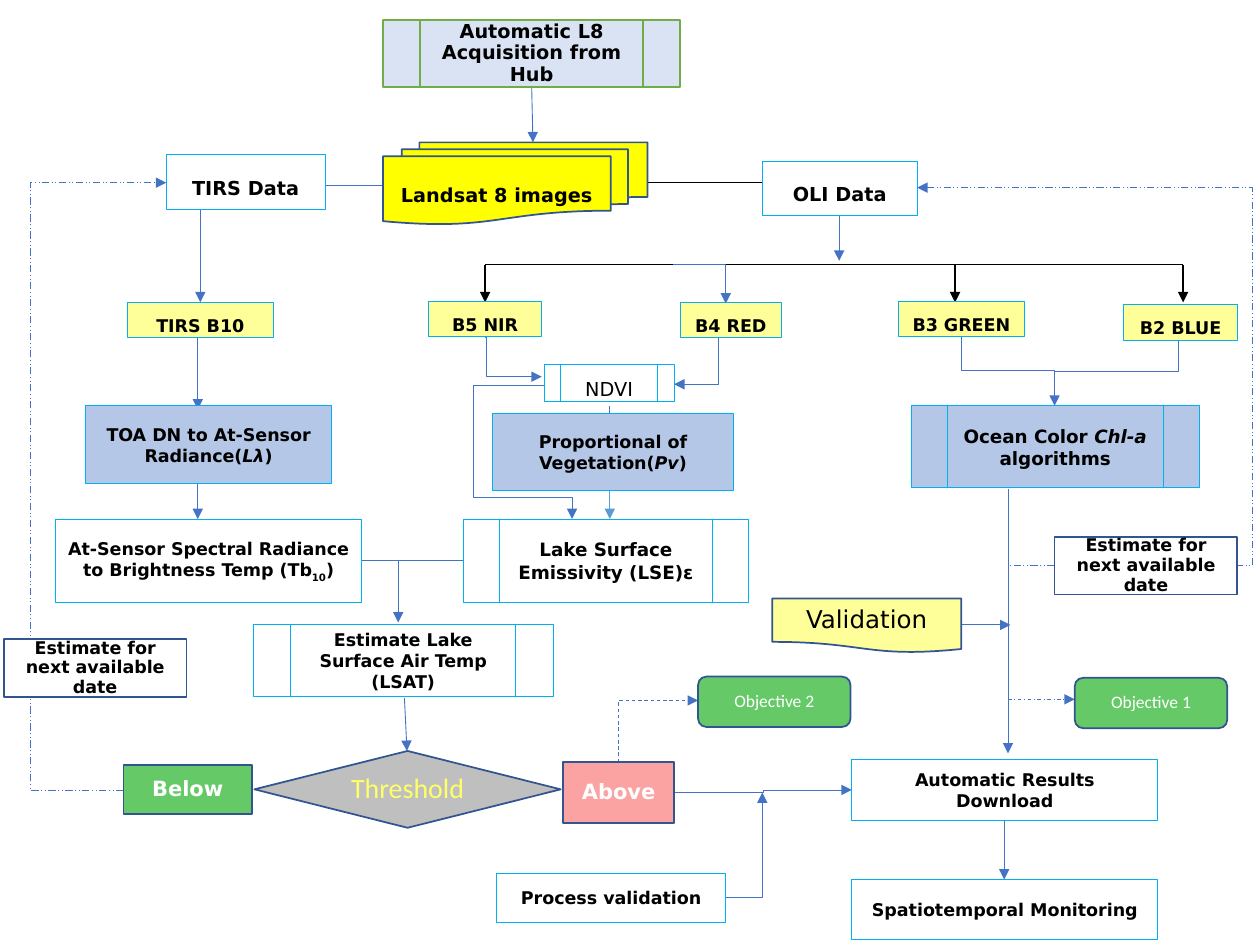
from dataclasses import dataclass

from pptx import Presentation
from pptx.dml.color import RGBColor
from pptx.enum.dml import MSO_LINE as Dash
from pptx.enum.shapes import MSO_CONNECTOR as Link, MSO_SHAPE as Shape
from pptx.enum.text import MSO_ANCHOR as Anchor, PP_ALIGN as Align
from pptx.oxml.ns import qn
from pptx.util import Inches, Pt
from lxml.etree import SubElement


@dataclass(frozen=True)
class Theme:
    white: str = "FFFFFF"
    black: str = "000000"
    cyan: str = "00B0F0"
    navy: str = "325491"
    blue: str = "4472C4"
    sky: str = "5B9BD5"
    steel: str = "B4C7E7"
    pale_blue: str = "DAE3F3"
    leaf: str = "70AD47"
    cream: str = "FFFF99"
    yellow: str = "FFFF00"
    lemon: str = "FFFF66"
    green: str = "65C967"
    pink: str = "FBA3A3"
    grey: str = "BFBFBF"
    main_font: str = "DejaVu Sans"
    plain_font: str = "Calibri"
    small: float = 10
    medium: float = 10.5
    label: float = 11
    strong: float = 12
    note: float = 14
    large: float = 16


T = Theme()
PROCESS = Shape.FLOWCHART_PREDEFINED_PROCESS


def rgb(value):
    return RGBColor.from_string(value)


def add_text(shape, content, size, color, font, bold, spacing, after):
    """Content is a string or a list of (text, style) runs."""
    frame = shape.text_frame
    frame.word_wrap = True
    frame.vertical_anchor = Anchor.MIDDLE
    para = frame.paragraphs[0]
    para.alignment = Align.CENTER
    para.line_spacing = spacing
    para.space_after = Pt(after)
    runs = [(content, "")] if isinstance(content, str) else content
    for text, style in runs:
        span = para.add_run()
        span.text = text
        span.font.size = Pt(size)
        span.font.name = font
        span.font.bold = bold
        span.font.italic = style == "italic"
        span.font.color.rgb = rgb(color)
        if style == "sub":
            span.font._element.set("baseline", "-25000")


def add_box(page, kind, place, content, fill=T.white, line=T.cyan, width=0.5,
            size=T.small, color=T.black, font=T.main_font, bold=True,
            spacing=1.0, after=8):
    box = page.shapes.add_shape(kind, *map(Inches, place))
    box.shadow.inherit = False
    box.fill.solid()
    box.fill.fore_color.rgb = rgb(fill)
    box.line.color.rgb = rgb(line)
    box.line.width = Pt(width)
    add_text(box, content, size, color, font, bold, spacing, after)
    return box


def add_label(page, kind, place, content, **style):
    """Thin box whose single line stands on open line spacing."""
    return add_box(page, kind, place, content, spacing=1.5, **style)


def add_marker(page, kind, place, content, line=T.navy, **style):
    """Heavier box with tight lines."""
    return add_box(page, kind, place, content, line=line, width=1,
                   spacing=0.93, after=0, **style)


def style_line(line, color, width, dash, arrow):
    line.line.color.rgb = rgb(color)
    line.line.width = Pt(width)
    if dash:
        line.line.dash_style = dash
    if arrow:
        SubElement(line.line._get_or_add_ln(), qn("a:tailEnd"), type="triangle")
    SubElement(line._element.spPr, qn("a:effectLst"))


def add_line(page, start, end, color=T.blue, width=0.5, dash=None, arrow=True):
    line = page.shapes.add_connector(Link.STRAIGHT, *map(Inches, start + end))
    style_line(line, color, width, dash, arrow)


def add_elbow(page, start, end, turns=(), vertical=False, dash=None, arrow=True):
    """Turns are the coordinates of the middle legs, axes alternating."""
    (x1, y1), (x2, y2) = start, end
    dx, dy = x2 - x1, y2 - y1
    corners = start + end
    if vertical:
        mid_x, mid_y = (x1 + x2) / 2, (y1 + y2) / 2
        corners = (mid_x - dy / 2, mid_y + dx / 2, mid_x + dy / 2, mid_y - dx / 2)
    line = page.shapes.add_connector(Link.ELBOW, *map(Inches, corners))
    props = line._element.spPr
    if vertical:
        props.find(qn("a:xfrm")).set("rot", "5400000")
    shape = props.find(qn("a:prstGeom"))
    shape.set("prst", f"bentConnector{2 + len(turns)}")
    guides = shape.find(qn("a:avLst"))
    if guides is None:
        guides = SubElement(shape, qn("a:avLst"))
    for index, turn in enumerate(turns):
        axis = (index + vertical) % 2
        ratio = (turn - start[axis]) / (end[axis] - start[axis])
        SubElement(guides, qn("a:gd"), name=f"adj{index + 1}",
                   fmla=f"val {round(ratio * 100000)}")
    style_line(line, T.blue, 0.5, dash, arrow)


def draw_lines(page):
    # Straight arrows
    for start, end in [
        ((4.22, 0.69), (4.23, 1.13)), ((6.66, 1.67), (6.66, 2.07)),
        ((1.57, 2.65), (1.57, 3.25)), ((1.57, 3.84), (1.57, 4.12)),
        ((4.84, 3.22), (4.84, 3.42)), ((8, 3.88), (8, 5.98)),
        ((7.62, 4.96), (8.02, 4.96)), ((3.21, 5.54), (3.23, 5.96)),
        ((7.97, 6.51), (7.97, 6.98)),
    ]:
        add_line(page, start, end)
    add_line(page, (4.84, 3.89), (4.84, 4.12), T.sky, 0.75)
    add_line(page, (3.17, 4.45), (3.68, 4.45), arrow=False)
    add_line(page, (8, 5.55), (8.53, 5.55), dash=Dash.DASH_DOT)
    add_line(page, (8.37, 4.49), (8.02, 4.49), dash=Dash.DASH_DOT_DOT, arrow=False)
    # Black spread of the bands
    add_line(page, (4.87, 1.45), (6.97, 1.45), T.black, 0.75)
    add_line(page, (3.85, 2.1), (9.39, 2.1), T.black, 0.75, arrow=False)
    for x in (3.85, 7.58, 9.39):
        add_line(page, (x, 2.1), (x, 2.4), T.black, 0.75)
    # Bent arrows
    add_elbow(page, (3.04, 1.47), (1.59, 2.4))
    add_elbow(page, (2.87, 4.45), (3.16, 4.94))
    add_elbow(page, (5.34, 2.1), (5.76, 2.41), [5.76])
    add_elbow(page, (3.85, 2.68), (4.3, 2.99), [3.86])
    add_elbow(page, (5.7, 2.65), (5.35, 3.05), vertical=True)
    add_elbow(page, (7.63, 2.67), (8.37, 3.22), [2.94], vertical=True)
    add_elbow(page, (9.35, 2.69), (8.37, 2.95), vertical=True, arrow=False)
    add_elbow(page, (4.32, 3.06), (4.54, 4.12), [3.76, 3.95])
    add_elbow(page, (5.35, 6.29), (6.76, 6.27), [6.06])
    add_elbow(page, (5.76, 7.12), (6.05, 6.29))
    add_elbow(page, (4.91, 6.05), (5.54, 5.56), vertical=True, dash=Dash.DASH)
    # Feedback loops
    for start, end, side in [((0.98, 6.27), (1.32, 1.45), 0.24),
                             ((9.81, 4.49), (7.28, 1.49), 9.94)]:
        add_elbow(page, start, end, [side], dash=Dash.DASH_DOT_DOT)


def draw_inputs(page):
    add_marker(page, PROCESS, (3.04, 0.16, 2.36, 0.53), "Automatic L8 Acquisition from Hub",
               fill=T.pale_blue, line=T.leaf, size=T.label)
    add_label(page, Shape.FLOWCHART_MULTIDOCUMENT, (3.04, 1.13, 2.1, 0.65),
              "Landsat 8 images", fill=T.yellow, line=T.navy, width=1, size=T.label)
    for name, place in [("TIRS Data", (1.32, 1.23, 1.26, 0.43)),
                        ("OLI Data", (6.05, 1.28, 1.23, 0.43))]:
        add_label(page, Shape.RECTANGLE, place, name, size=T.label)
    for name, left, top, width in [
        ("TIRS B10", 1.01, 2.4, 1.16), ("B5 NIR", 3.4, 2.39, 0.9), ("B4 RED", 5.4, 2.4, 0.8),
        ("B3 GREEN", 7.13, 2.39, 1), ("B2 BLUE", 8.92, 2.42, 0.9),
    ]:
        add_label(page, Shape.RECTANGLE, (left, top, width, 0.28), name, fill=T.cream)
    add_label(page, PROCESS, (4.32, 2.89, 1.03, 0.3), "NDVI", size=T.label, bold=False)


def draw_steps(page):
    add_box(page, Shape.RECTANGLE, (0.68, 3.22, 1.95, 0.62),
            [("TOA DN to At-Sensor Radiance(", ""), ("Lλ", "italic"), (")", "")], T.steel)
    add_box(page, Shape.RECTANGLE, (3.91, 3.28, 1.91, 0.61),
            [("Proportional of Vegetation(", ""), ("Pv", "italic"), (")", "")], T.steel)
    add_box(page, PROCESS, (7.23, 3.22, 2.29, 0.65),
            [("Ocean Color ", ""), ("Chl-a", "italic"), (" algorithms", "")],
            T.steel, size=T.medium)
    add_box(page, Shape.RECTANGLE, (0.44, 4.12, 2.43, 0.66),
            [("At-Sensor Spectral Radiance to Brightness Temp (Tb", ""), ("10", "sub"), (")", "")])
    add_box(page, PROCESS, (3.68, 4.12, 2.26, 0.66), "Lake Surface Emissivity (LSE)ε",
            size=T.medium)
    add_box(page, PROCESS, (2.01, 4.96, 2.38, 0.57), "Estimate Lake Surface Air Temp (LSAT)")
    add_box(page, Shape.RECTANGLE, (3.94, 6.93, 1.82, 0.39), "Process validation")
    for name, top in [("Automatic Results Download", 6.03), ("Spatiotemporal Monitoring", 6.98)]:
        add_box(page, Shape.RECTANGLE, (6.76, top, 2.43, 0.48), name)


def draw_decisions(page):
    validation = add_marker(page, Shape.FLOWCHART_DOCUMENT, (6.13, 4.75, 1.5, 0.43),
                            "Validation", fill=T.cream, size=T.note, bold=False)
    validation._element.spPr.find(qn("a:xfrm")).set("flipH", "1")
    add_marker(page, Shape.FLOWCHART_DECISION, (2.02, 5.96, 2.43, 0.61), "Threshold",
               fill=T.grey, size=T.large, color=T.lemon, font=T.plain_font, bold=False)
    for name, place, fill in [("Below", (0.98, 6.07, 1.02, 0.39), T.green),
                              ("Above", (4.47, 6.05, 0.88, 0.48), T.pink)]:
        add_marker(page, Shape.FLOWCHART_PROCESS, place, name, fill=fill,
                   size=T.strong, color=T.white)
    for name, left, top in [("Objective 1", 8.53, 5.38), ("Objective 2", 5.54, 5.37)]:
        add_marker(page, Shape.ROUNDED_RECTANGLE, (left, top, 1.21, 0.4), name,
                   fill=T.green, color=T.white, font=T.plain_font, bold=False)
    for left, top in [(0.03, 5.07), (8.37, 4.26)]:
        add_marker(page, Shape.RECTANGLE, (left, top, 1.45, 0.46),
                   "Estimate for next available date")


def main():
    deck = Presentation()
    deck.slide_width, deck.slide_height = Inches(10), Inches(7.5)
    page = deck.slides.add_slide(deck.slide_layouts[6])
    draw_lines(page)
    draw_inputs(page)
    draw_steps(page)
    draw_decisions(page)
    deck.save("out.pptx")


main()
